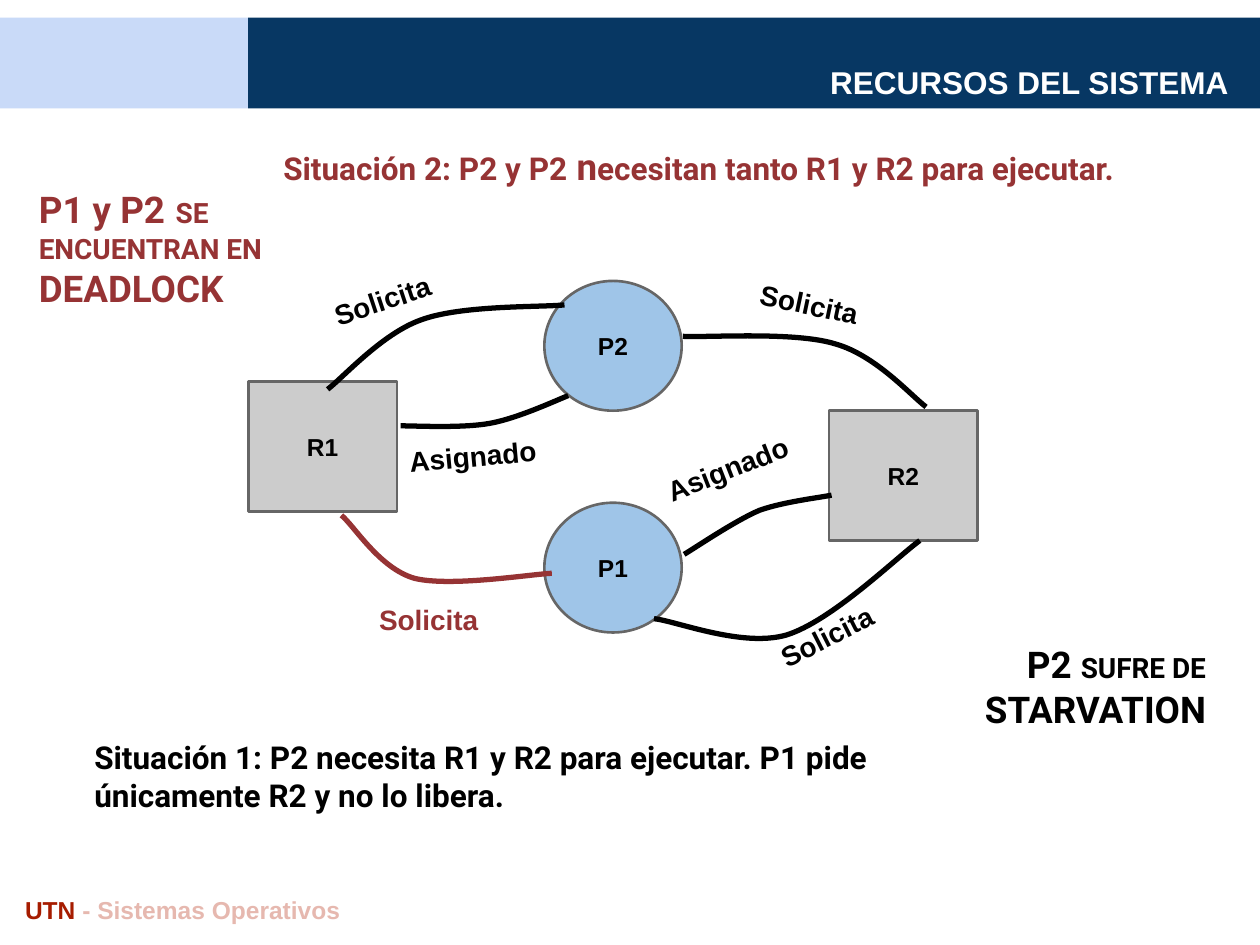
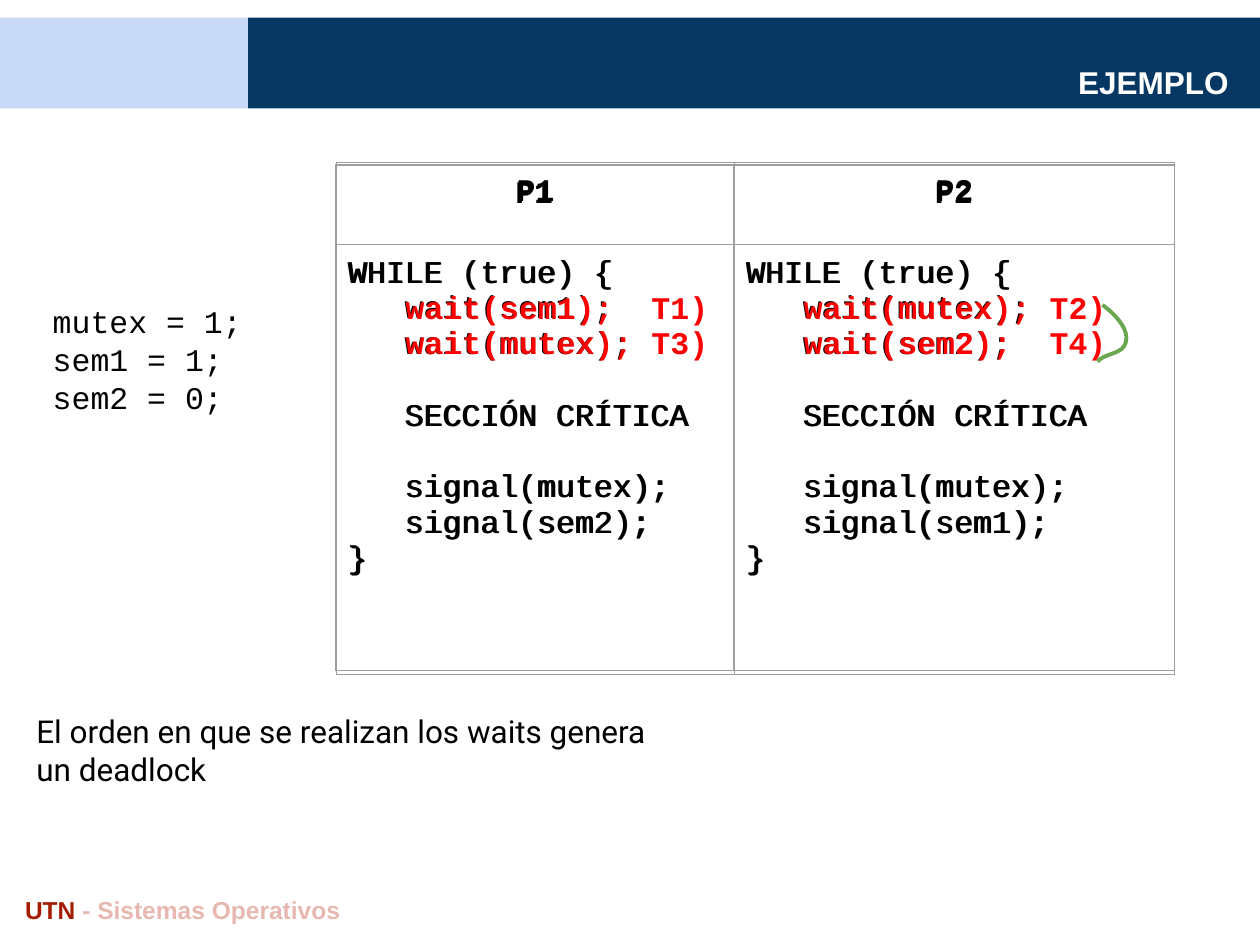
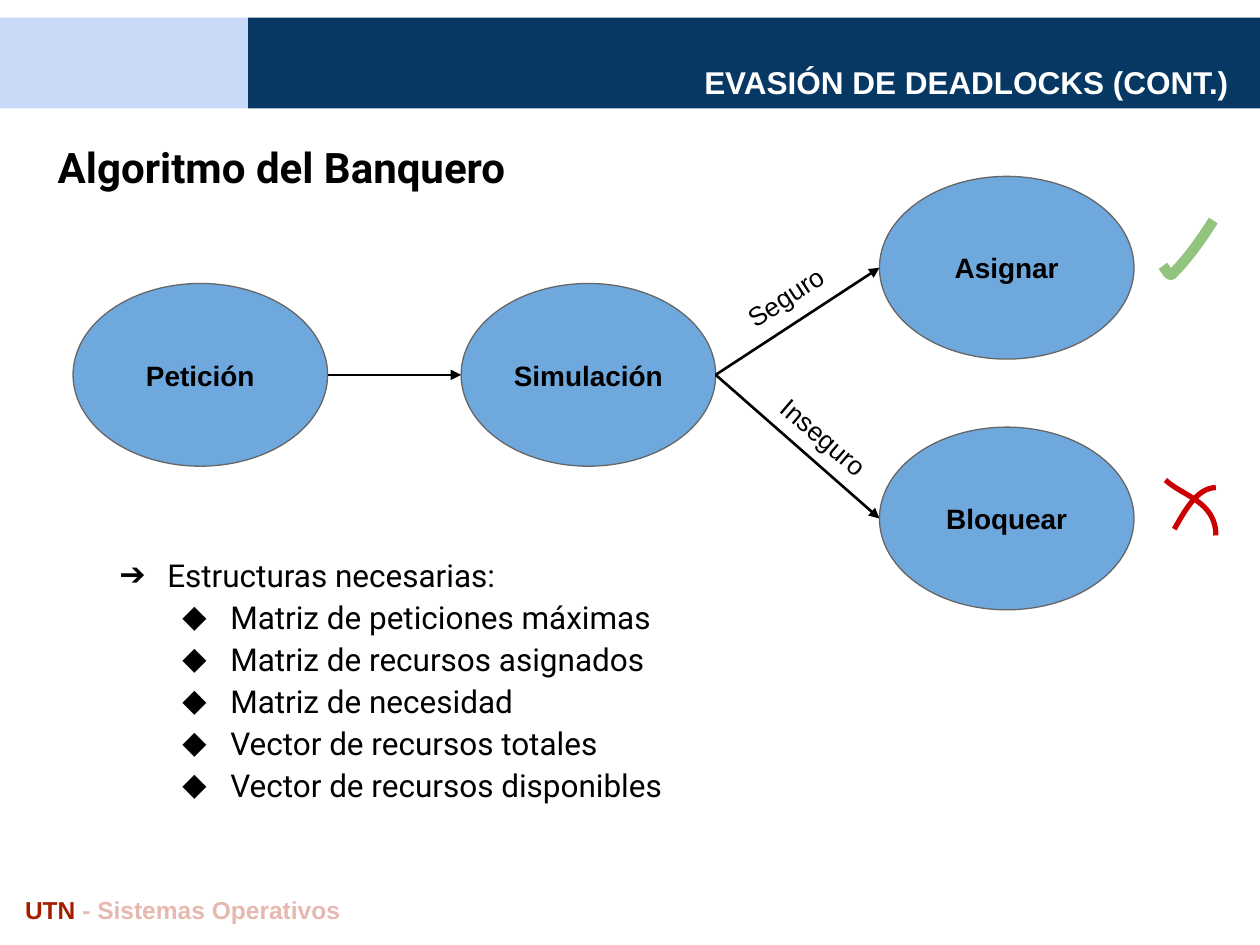
"""Builds three slides on deadlocks for an operating systems course."""
from lxml import etree
from pptx import Presentation
from pptx.dml.color import RGBColor
from pptx.enum.shapes import MSO_CONNECTOR, MSO_SHAPE
from pptx.enum.text import MSO_ANCHOR, PP_ALIGN
from pptx.oxml.ns import qn
from pptx.util import Inches, Pt

LEFT, MID, RIGHT, JUST = PP_ALIGN.LEFT, PP_ALIGN.CENTER, PP_ALIGN.RIGHT, PP_ALIGN.JUSTIFY
TOP, CORE, BASE = MSO_ANCHOR.TOP, MSO_ANCHOR.MIDDLE, MSO_ANCHOR.BOTTOM
RECT, OVAL = MSO_SHAPE.RECTANGLE, MSO_SHAPE.OVAL
STRAIGHT = MSO_CONNECTOR.STRAIGHT
SANS, CODE, BODY = "Arial", "Courier New", "Roboto"
BLACK, WHITE, RED, WINE = "000000", "FFFFFF", "FF0000", "963334"
NAVY, PALE, GRAY, EDGE, GRID = "073763", "C9DAF8", "CCCCCC", "666666", "9E9E9E"
SKY, BLUE = "9FC5E8", "6FA8DC"
BRICK, ROSE, GREEN, LIME, CROSS = "A61C00", "E6B8AF", "6AA84F", "93C47D", "CC0000"

HEAD = """WHILE (true) {{
   {}
   {}

   SECCIÓN CRÍTICA

   signal(mutex);
   signal({});
}}"""


def rgb(code):
    """Turn a hex string into a colour."""
    return RGBColor.from_string(code)


def style(run, font, size, color, bold=False):
    """Format one run."""
    run.font.name, run.font.size, run.font.bold = font, Pt(size), bold
    run.font.color.rgb = rgb(color)


def inset(frame, anchor):
    """Give a text frame its margins, wrap and anchor."""
    frame.margin_left = frame.margin_right = Inches(0.1)
    frame.margin_top = frame.margin_bottom = Inches(0.1)
    frame.word_wrap, frame.vertical_anchor = True, anchor


def label(slide, box, words, font, size, color=BLACK, bold=False,
          align=LEFT, anchor=TOP, turn=0):
    """Add a text box in one style."""
    item = slide.shapes.add_textbox(*map(Inches, box))
    item.rotation = turn
    frame = item.text_frame
    inset(frame, anchor)
    frame.text = words
    for para in frame.paragraphs:
        para.alignment = align
        for run in para.runs:
            style(run, font, size, color, bold)
    return frame


def mixed(slide, box, parts, font, align=LEFT):
    """Add a bold paragraph of (words, size, colour) runs."""
    para = label(slide, box, "", font, 18).paragraphs[0]
    para.alignment = align
    for words, size, color in parts:
        run = para.add_run()
        run.text = words
        style(run, font, size, color, True)


def block(slide, kind, box, fill, width=0, words="", size=14):
    """Add a filled shape with an optional outline and name."""
    item = slide.shapes.add_shape(kind, *map(Inches, box))
    item.shadow.inherit = False
    item.fill.solid()
    item.fill.fore_color.rgb = rgb(fill)
    if width:
        item.line.color.rgb, item.line.width = rgb(EDGE), Pt(width)
    else:
        item.line.fill.background()
    if words:
        inset(item.text_frame, CORE)
        item.text_frame.text = words
        para = item.text_frame.paragraphs[0]
        para.alignment = MID
        style(para.runs[0], SANS, size, BLACK, True)


def curve(slide, x, y, points, color, width):
    """Draw a chain of cubic curves through points relative to x, y."""
    spots = [(Inches(x + px), Inches(y + py)) for px, py in points]
    pen = slide.shapes.build_freeform(*spots[0])
    pen.add_line_segments(spots[1:], close=False)
    item = pen.convert_to_shape()
    item.shadow.inherit = False
    item.fill.background()
    item.line.color.rgb, item.line.width = rgb(color), Pt(width)
    steps = list(item._element.iter(qn("a:lnTo")))
    for i in range(0, len(steps), 3):
        bend = etree.Element(qn("a:cubicBezTo"))
        steps[i].addprevious(bend)
        for step in steps[i:i + 3]:
            bend.append(step[0])
            step.getparent().remove(step)


def arrow(slide, start, end):
    """Draw a straight arrow."""
    item = slide.shapes.add_connector(STRAIGHT, *map(Inches, start + end))
    item.line.color.rgb, item.line.width = rgb(BLACK), Pt(1.5)
    props = item._element.spPr.find(qn("a:ln"))
    etree.SubElement(props, qn("a:tailEnd"), type="triangle")
    etree.SubElement(item._element.spPr, qn("a:effectLst"))


def base(deck, title):
    """Add a slide with bands, title and footer."""
    slide = deck.slides.add_slide(deck.slide_layouts[6])
    block(slide, RECT, (0, 0.14, 1.97, 0.72), PALE)
    block(slide, RECT, (1.97, 0.14, 8.04, 0.72), NAVY)
    label(slide, (1.35, 0.4, 8.5, 0.5), title, SANS, 18, WHITE, True, RIGHT, BASE)
    mixed(slide, (0.1, 7, 9.81, 0.44),
          [("UTN ", 14, BRICK), ("- Sistemas Operativos", 14, ROSE)], SANS)
    return slide


def graph(slide, x, y):
    """Draw the graph of processes and resources."""
    for name, dx, dy in (("R1", 0, 0.8), ("R2", 4.61, 1.03)):
        block(slide, RECT, (x + dx, y + dy, 1.18, 1.03), GRAY, 1.5, name)
    for name, dy in (("P1", 1.76), ("P2", 0)):
        block(slide, OVAL, (x + 2.35, y + dy, 1.09, 1.03), SKY, 1.5, name)
    links = [
        ("Solicita", 4.09, 2.49, 1.39, 333.1, BLACK,
         [(3.22, 2.68), (3.4, 2.7), (3.92, 2.91), (4.27, 2.81),
          (4.63, 2.7), (5.15, 2.19), (5.33, 2.06)]),
        ("Asignado", 3.2, 1.19, 1.55, 338.6, BLACK,
         [(4.63, 1.7), (4.54, 1.72), (4.26, 1.75), (4.06, 1.82),
          (3.87, 1.9), (3.56, 2.11), (3.46, 2.17)]),
        ("Asignado", 1.18, 1.13, 1.69, 354.7, BLACK,
         [(1.21, 1.15), (1.33, 1.15), (1.7, 1.17), (1.92, 1.13),
          (2.14, 1.09), (2.44, 0.95), (2.54, 0.91)]),
        ("Solicita", 0.57, -0.15, 1.39, 341.6, BLACK,
         [(2.51, 0.19), (2.32, 0.21), (1.69, 0.19), (1.37, 0.31),
          (1.06, 0.42), (0.75, 0.77), (0.63, 0.86)]),
        ("Solicita", 0.94, 2.45, 1.39, 0, WINE,
         [(2.41, 2.32), (2.23, 2.33), (1.6, 2.43), (1.32, 2.36),
          (1.04, 2.28), (0.84, 1.94), (0.74, 1.86)]),
        ("Solicita", 3.95, -0.01, 1.39, 12, BLACK,
         [(3.45, 0.44), (3.65, 0.45), (4.34, 0.4), (4.66, 0.5),
          (4.98, 0.59), (5.26, 0.91), (5.38, 1)]),
    ]
    for name, dx, dy, wide, turn, color, points in links:
        curve(slide, x, y, points, color, 3)
        label(slide, (x + dx, y + dy, wide, 0.53), name, SANS, 16, color, True, turn=turn)


def border(cell):
    """Outline a cell and clear its fill."""
    props = cell._tc.get_or_add_tcPr()
    for side in ("lnL", "lnR", "lnT", "lnB"):
        line = etree.SubElement(props, qn("a:" + side), w=str(Pt(0.75)))
        fill = etree.SubElement(line, qn("a:solidFill"))
        etree.SubElement(fill, qn("a:srgbClr"), val=GRID)
    cell.fill.background()


def listing(slide, x, y, cols, rows, codes, mark):
    """Add the table with the code of both processes."""
    grid = slide.shapes.add_table(2, 2, Inches(x), Inches(y),
                                  Inches(sum(cols)), Inches(sum(rows))).table
    grid.first_row = grid.horz_banding = False
    for i in (0, 1):
        grid.columns[i].width, grid.rows[i].height = Inches(cols[i]), Inches(rows[i])
    for r, texts in enumerate((("P1", "P2"), codes)):
        for c, words in enumerate(texts):
            cell = grid.cell(r, c)
            border(cell)
            cell.margin_left = cell.margin_right = Inches(0.1)
            cell.margin_top = cell.margin_bottom = Inches(0.1)
            cell.text = words
            for para in cell.text_frame.paragraphs:
                para.alignment = LEFT if r else MID
                para.font.size, para.font.name = Pt(18), CODE
                for run in para.runs:
                    hot = mark and "wait" in run.text
                    style(run, CODE, 18, RED if hot else BLACK, hot or r == 0)


def flow(slide, x, y):
    """Draw the flow of the banker's algorithm."""
    wide, high = 2.02, 1.45
    nodes = {"Petición": (0, 0.85), "Simulación": (3.08, 0.85),
             "Asignar": (6.4, 0), "Bloquear": (6.4, 1.99)}
    for name, (dx, dy) in nodes.items():
        block(slide, OVAL, (x + dx, y + dy, wide, high), BLUE, 0.75, name, 16)
    for tail, tip in (("Petición", "Simulación"), ("Simulación", "Asignar"),
                      ("Simulación", "Bloquear")):
        (ax, ay), (bx, by) = nodes[tail], nodes[tip]
        arrow(slide, (x + ax + wide, y + ay + high / 2), (x + bx, y + by + high / 2))
    label(slide, (x + 5.17, y + 0.62, 1.28, 0.4), "Seguro", SANS, 15, turn=326.7)
    label(slide, (x + 5.44, y + 1.94, 1.29, 0.39), "Inseguro", SANS, 15, turn=40.6)
    curve(slide, x, y, [(8.65, 0.71), (8.67, 0.73), (8.7, 0.8), (8.72, 0.78),
                        (8.86, 0.64), (8.96, 0.49), (9.05, 0.35)], LIME, 6)
    curve(slide, x, y, [(8.67, 2.41), (8.81, 2.54), (9.07, 2.58), (9.07, 2.85)], CROSS, 3)
    curve(slide, x, y, [(8.74, 2.8), (8.82, 2.66), (8.92, 2.47), (9.07, 2.47)], CROSS, 3)


def needs(slide, box, lead, items):
    """Add a bulleted list with a lead line."""
    frame = label(slide, box, "\n".join([lead] + items), BODY, 18, align=JUST)
    for i, para in enumerate(frame.paragraphs):
        para.level = min(i, 1)
        para.line_spacing = 1.11
        props = para._p.get_or_add_pPr()
        props.set("marL", str(Inches(1 if i else 0.5)))
        props.set("indent", str(Inches(-0.38)))
        tint = etree.SubElement(props, qn("a:buClr"))
        etree.SubElement(tint, qn("a:srgbClr"), val=BLACK)
        etree.SubElement(props, qn("a:buFont"), typeface=BODY)
        etree.SubElement(props, qn("a:buChar"), char="◆" if i else "➔")


def system(deck):
    """Build the slide on system resources."""
    slide = base(deck, "RECURSOS DEL SISTEMA")
    graph(slide, 1.97, 2.23)
    mixed(slide, (7.02, 4.95, 2.65, 1.39),
          [("P2 ", 21, BLACK), ("SUFRE DE", 16, BLACK), (" ", 24, BLACK),
           ("STARVATION", 21, BLACK)], BODY, RIGHT)
    mixed(slide, (0.21, 1.34, 2.5, 1.26),
          [("P1 y P2", 21, WINE), (" ", 24, WINE), ("SE ENCUENTRAN EN ", 16, WINE),
           ("DEADLOCK", 21, WINE)], BODY)
    label(slide, (0.65, 5.76, 7.32, 1.03),
          "Situación 1: P2 necesita R1 y R2 para ejecutar. "
          "P1 pide únicamente R2 y no lo libera.", BODY, 18, bold=True)
    mixed(slide, (2.15, 1.04, 7.32, 1.03),
          [("Situación 2: P2 y P2", 18, WINE), (" n", 21, WINE),
           ("ecesitan tanto R1 y R2 para ejecutar.", 18, WINE)], BODY)


def sample(deck):
    """Build the slide with the semaphore example."""
    slide = base(deck, "EJEMPLO")
    plain = (HEAD.format("wait(sem1);", "wait(mutex);", "sem2"),
             HEAD.format("wait(mutex);", "wait(sem2);", "sem1"))
    trace = (HEAD.format("wait(sem1);  T1)", "wait(mutex); T3)", "sem2"),
             HEAD.format("wait(mutex); T2)", "wait(sem2);  T4)", "sem1"))
    listing(slide, 2.66, 1.31, (3.16, 3.5), (0.63, 3.38), plain, False)
    listing(slide, 2.67, 1.29, (3.16, 3.49), (0.65, 3.41), trace, True)
    label(slide, (0.32, 2.3, 2.18, 1.6), "mutex = 1;\nsem1 = 1;\nsem2 = 0;", CODE, 18)
    label(slide, (0.19, 5.55, 5.12, 1.25),
          "El orden en que se realizan los waits genera un deadlock", BODY, 18)
    curve(slide, 8.71, 2.42, [(0.04, 0), (0.15, 0.08), (0.28, 0.22), (0.21, 0.33),
                              (0.17, 0.39), (0.05, 0.39), (0, 0.45)], GREEN, 2.25)


def banker(deck):
    """Build the slide on the banker's algorithm."""
    slide = base(deck, "EVASIÓN DE DEADLOCKS (CONT.)")
    label(slide, (0.36, 1.02, 4.36, 0.5), "Algoritmo del Banquero", BODY, 24, bold=True)
    flow(slide, 0.58, 1.4)
    needs(slide, (0.73, 4.28, 8.83, 2.42), "Estructuras necesarias:",
          ["Matriz de peticiones máximas", "Matriz de recursos asignados",
           "Matriz de necesidad", "Vector de recursos totales",
           "Vector de recursos disponibles"])


def main():
    """Build and save the deck."""
    deck = Presentation()
    deck.slide_width, deck.slide_height = Inches(10), Inches(7.5)
    for build in (system, sample, banker):
        build(deck)
    deck.save("out.pptx")


if __name__ == "__main__":
    main()
